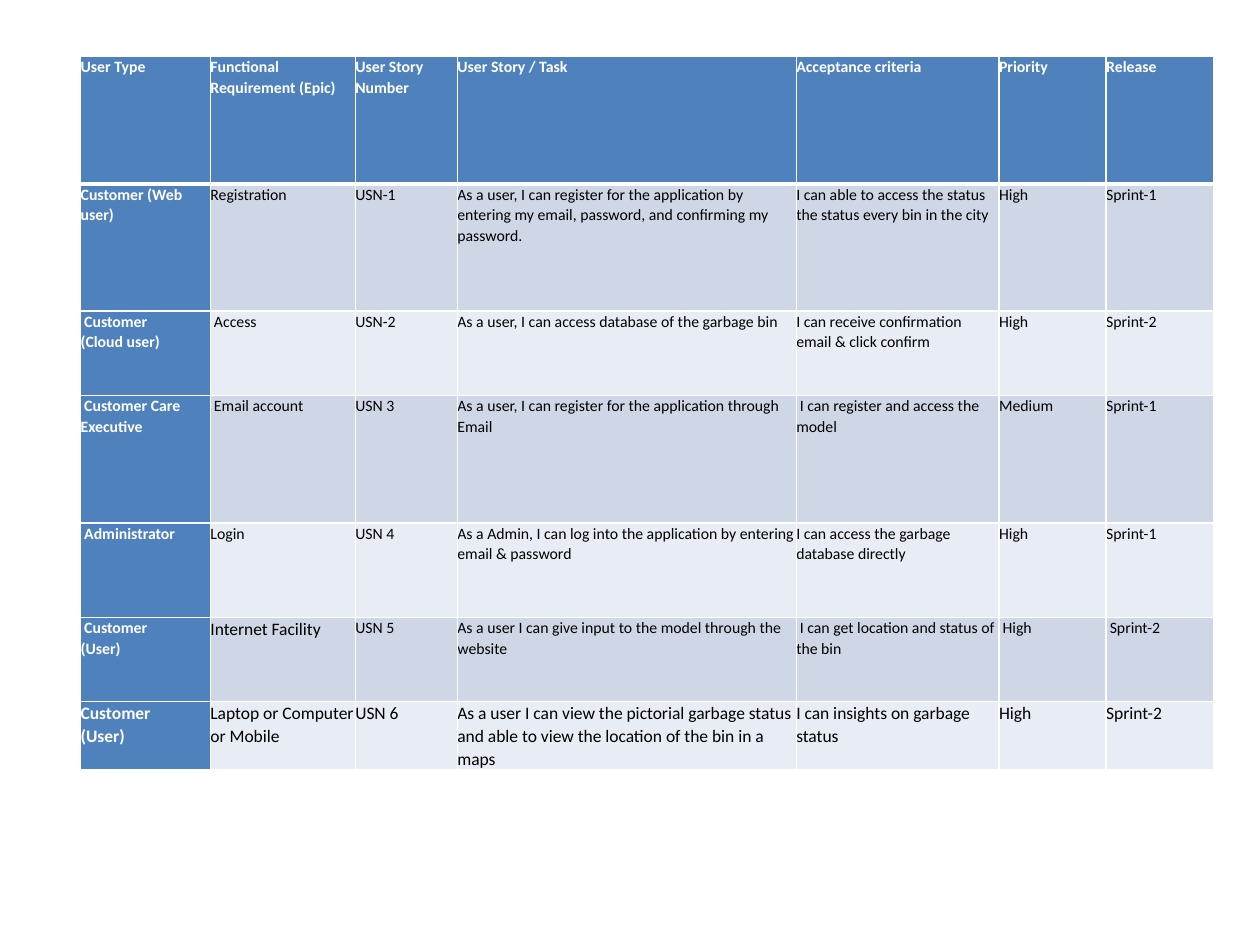
from copy import deepcopy
from dataclasses import dataclass

from lxml.etree import SubElement
from pptx import Presentation
from pptx.dml.color import RGBColor as Color
from pptx.oxml.ns import qn
from pptx.util import Inches, Pt


@dataclass(frozen=True)
class Theme:
    """Colours, font and type sizes of the slide."""

    accent: str = "4F81BD"
    bands: tuple[str, str] = ("CFD7E7", "E8ECF4")
    light: str = "FFFFFF"
    dark: str = "000000"
    font: str = "Calibri"
    small: int = 9
    large: int = 10
    thin: int = 1
    thick: int = 3
    leading: float = 1.07


@dataclass(frozen=True)
class Story:
    """One table row: its height, its texts and the columns in large type."""

    height: float
    texts: tuple[str, ...]
    large: tuple[int, ...] = ()


THEME = Theme()
WIDTHS = (1.03, 1.15, 0.81, 2.69, 1.61, 0.85, 0.85)
STORIES = (
    Story(1.01, ("User Type", "Functional Requirement (Epic)", "User Story Number",
                 "User Story / Task", "Acceptance criteria", "Priority", "Release")),
    Story(1.01, ("Customer (Web user)", "Registration", "USN-1",
                 "As a user, I can register for the application by entering my email, "
                 "password, and confirming my password.",
                 "I can able to access the status the status every bin in the city",
                 "High", "Sprint-1")),
    Story(0.67, (" Customer\n(Cloud user)", " Access", "USN-2",
                 "As a user, I can access database of the garbage bin",
                 "I can receive confirmation email & click confirm", "High", "Sprint-2")),
    Story(1.01, (" Customer Care Executive", " Email account", "USN 3",
                 "As a user, I can register for the application through Email",
                 " I can register and access the model", "Medium", "Sprint-1")),
    Story(0.75, (" Administrator", "Login", "USN 4",
                 "As a Admin, I can log into the application by entering email & password",
                 "I can access the garbage database directly", "High", "Sprint-1")),
    Story(0.67, (" Customer\n(User)", "Internet Facility", "USN 5",
                 "As a user I can give input to the model through the website",
                 " I can get location and status of the bin", " High", " Sprint-2"),
          large=(1,)),
    Story(0.53, ("Customer\n(User)", "Laptop or Computer or Mobile", "USN 6",
                 "As a user I can view the pictorial garbage status and able to view "
                 "the location of the bin in a maps",
                 "I can insights on garbage status", "High", "Sprint-2"),
          large=tuple(range(len(WIDTHS)))),
)


def write_text(cell, text: str, *, size: int, color: str, bold: bool) -> None:
    """Fill a cell with one formatted paragraph."""
    cell.margin_left = cell.margin_top = cell.margin_right = cell.margin_bottom = 0
    para = cell.text_frame.paragraphs[0]
    para.text = text
    para.line_spacing = THEME.leading
    for span in para.runs:
        span.font.name = THEME.font
        span.font.size = Pt(size)
        span.font.bold = bold
        span.font.color.rgb = Color.from_string(color)
    for line_break in para._p.findall(qn("a:br")):
        line_break.append(deepcopy(para.runs[0]._r.rPr))


def draw_borders(cell, *, top: int, bottom: int) -> None:
    """Draw the four edges of a cell with widths in points."""
    properties = cell._tc.get_or_add_tcPr()
    edges = {"lnL": THEME.thin, "lnR": THEME.thin, "lnT": top, "lnB": bottom}
    for name, width in edges.items():
        line = SubElement(properties, qn(f"a:{name}"), w=str(Pt(width)))
        SubElement(SubElement(line, qn("a:solidFill")), qn("a:srgbClr"), val=THEME.light)


def paint(cell, color: str) -> None:
    """Give a cell a solid fill."""
    cell.fill.solid()
    cell.fill.fore_color.rgb = Color.from_string(color)


def draw_table(page, stories: tuple[Story, ...], left: float, top: float) -> None:
    """Draw the user stories as a banded table with a header row and column."""
    height = sum(story.height for story in stories)
    table = page.shapes.add_table(
        len(stories), len(WIDTHS), Inches(left), Inches(top),
        Inches(sum(WIDTHS)), Inches(height)).table
    table.first_col = True
    for column, width in zip(table.columns, WIDTHS):
        column.width = Inches(width)
    for row, story in enumerate(stories):
        table.rows[row].height = Inches(story.height)
        for column, text in enumerate(story.texts):
            cell = table.cell(row, column)
            heading = row == 0 or column == 0
            write_text(cell, text, bold=heading,
                       size=THEME.large if column in story.large else THEME.small,
                       color=THEME.light if heading else THEME.dark)
            draw_borders(cell, top=THEME.thick if row == 1 else THEME.thin,
                         bottom=THEME.thick if row == 0 else THEME.thin)
            paint(cell, THEME.accent if heading else THEME.bands[(row - 1) % 2])


def main() -> None:
    """Build the deck and save it."""
    deck = Presentation()
    deck.slide_width, deck.slide_height = Inches(10), Inches(7.5)
    page = deck.slides.add_slide(deck.slide_layouts.get_by_name("Blank"))
    draw_table(page, STORIES, left=0.64, top=0.45)
    deck.save("out.pptx")


if __name__ == "__main__":
    main()
